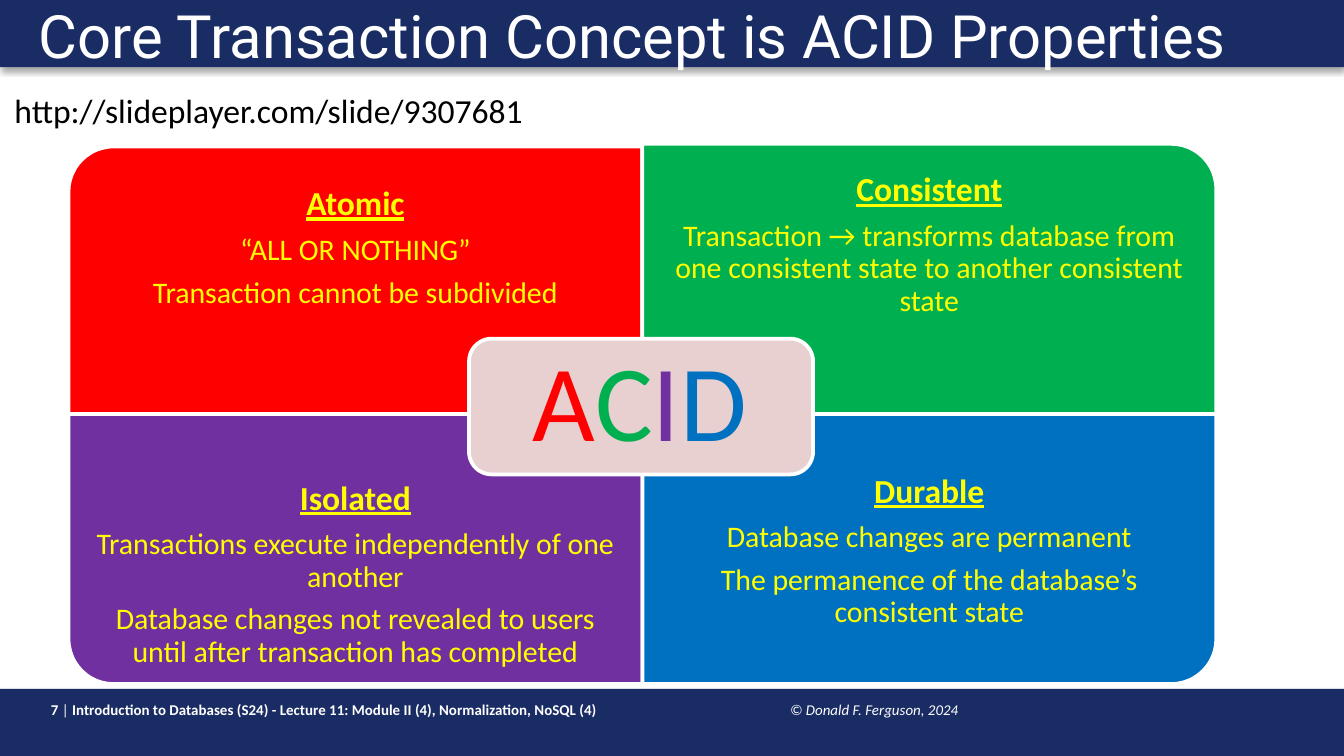
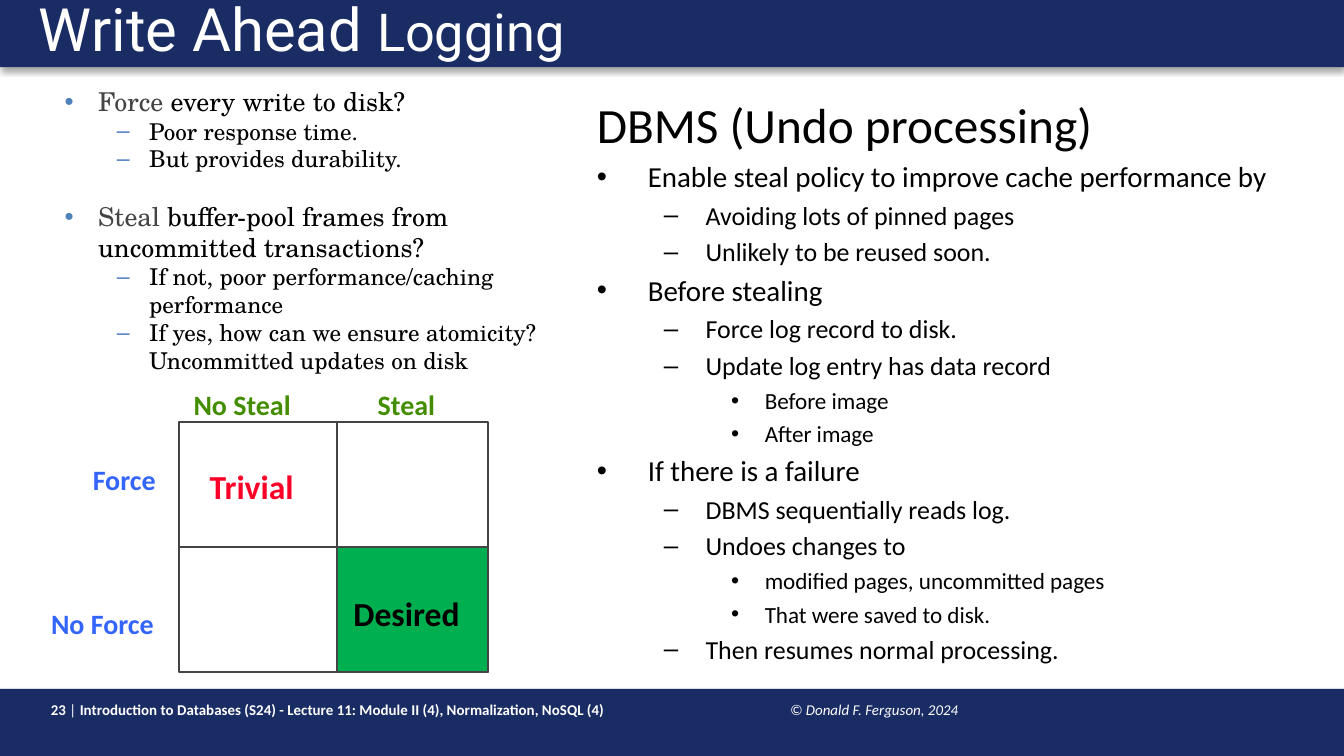
from lxml.etree import SubElement
from pptx import Presentation
from pptx.dml.color import RGBColor
from pptx.enum.shapes import MSO_CONNECTOR as Connector, MSO_SHAPE as Shape
from pptx.enum.text import MSO_ANCHOR as Anchor, MSO_AUTO_SIZE as AutoSize, PP_ALIGN as Align
from pptx.oxml.ns import qn
from pptx.util import Pt

EMU_PER_PX = 9144  # 100 px to the inch
SLIDE_W = 1000
SLIDE_H = SLIDE_W * 9 / 16
BAND_H = 50

COLORS = {
    "navy": "1A2C64", "white": "FFFFFF", "black": "000000", "gray": "444444",
    "red": "FF0000", "green": "00B050", "purple": "7030A0", "blue": "0070C0",
    "yellow": "FFFF00", "blush": "E8D0D0", "bullet": "4F81BD",
    "force": "3365FB", "steal": "438E00", "trivial": "FC0128",
}
SANS, HEADLINE, SERIF = "Calibri", "Roboto", "TeX Gyre Schola"
COURSE = " Introduction to Databases (S24) - Lecture 11: Module II (4), Normalization, NoSQL (4)"
COPYRIGHT = "© Donald F. Ferguson, 2024"


def px(value):
    return round(value * EMU_PER_PX)


def rgb(name):
    return RGBColor.from_string(COLORS[name])


# ---- Shared helpers ----
def set_values(target, values):
    for key, value in values.items():
        setattr(target, key, value)


def place(item, box):
    set_values(item, dict(zip(("left", "top", "width", "height"), map(px, box))))


def format_frame(frame, insets=(10, 5, 10, 5), anchor=Anchor.TOP, wrap=True, fit=AutoSize.NONE):
    sides = ("margin_left", "margin_top", "margin_right", "margin_bottom")
    set_values(frame, dict(zip(sides, map(px, insets))))
    set_values(frame, {"word_wrap": wrap, "auto_size": fit, "vertical_anchor": anchor})


def add_run(paragraph, text, size, color, name=SANS, **styles):
    for index, line in enumerate(text.split("\n")):
        if index:
            paragraph.add_line_break()
        run = paragraph.add_run()
        run.text = line
        set_values(run.font, {"name": name, "size": Pt(size), **styles})
        run.font.color.rgb = rgb(color)


def next_paragraph(frame):
    first = frame.paragraphs[0]
    return frame.add_paragraph() if first.runs else first


def add_bullet(paragraph, char, color, left, hanging):
    props = paragraph._p.get_or_add_pPr()
    props.set("marL", str(px(left)))
    props.set("indent", str(-px(hanging)))
    if char:
        bullet_color = SubElement(props, qn("a:buClr"))
        SubElement(bullet_color, qn("a:srgbClr"), val=COLORS[color])
        SubElement(props, qn("a:buChar"), char=char)
    else:
        SubElement(props, qn("a:buNone"))


def add_box(slide, kind, box, fill=None, line=None, weight=1):
    shape = slide.shapes.add_shape(kind, *map(px, box))
    shape.shadow.inherit = False
    if fill:
        shape.fill.solid()
        shape.fill.fore_color.rgb = rgb(fill)
    else:
        shape.fill.background()
    if line:
        shape.line.color.rgb = rgb(line)
        shape.line.width = Pt(weight)
    else:
        shape.line.fill.background()
    return shape


def add_text(slide, box, **frame_format):
    frame = slide.shapes.add_textbox(*map(px, box)).text_frame
    format_frame(frame, **frame_format)
    return frame


def add_label(slide, box, text, size, color, insets=(7, 4, 7, 4), bold=True):
    frame = add_text(slide, box, insets=insets, wrap=False, fit=AutoSize.SHAPE_TO_FIT_TEXT)
    add_run(frame.paragraphs[0], text, size, color, bold=bold)


def add_rule(slide, x1, y1, x2, y2):
    rule = slide.shapes.add_connector(Connector.STRAIGHT, *map(px, (x1, y1, x2, y2)))
    rule.line.color.rgb = rgb("gray")
    rule.line.width = Pt(1)
    SubElement(rule._element.spPr, qn("a:effectLst"))


# ---- Title, bands and footer of every slide ----
def add_band(slide, top):
    band = add_box(slide, Shape.RECTANGLE, (0, top, SLIDE_W, BAND_H), "navy")
    effects = band._element.spPr.find(qn("a:effectLst"))
    shadow = SubElement(effects, qn("a:outerShdw"), blurRad=str(Pt(3.1)), dist=str(Pt(1.8)),
                        dir="5400000", algn="t", rotWithShape="0")
    shade = SubElement(shadow, qn("a:srgbClr"), val=COLORS["black"])
    SubElement(shade, qn("a:alpha"), val="35000")
    slide.shapes._spTree.insert(2, band._element)  # behind the title


def add_footer(slide, number, box):
    paragraph = add_text(slide, box, anchor=Anchor.MIDDLE).paragraphs[0]
    tabs = SubElement(paragraph._p.get_or_add_pPr(), qn("a:tabLst"))
    SubElement(tabs, qn("a:tab"), pos=str(px(550)), algn="l")
    add_run(paragraph, f"{number} ", 8, "white", bold=True)
    add_run(paragraph, "|", 8, "white")
    add_run(paragraph, COURSE + "\t", 8, "white", bold=True)
    add_run(paragraph, COPYRIGHT, 8, "white", italic=True)


def start_slide(deck, layout, number, title_runs, anchor):
    slide = deck.slides.add_slide(deck.slide_layouts[layout])
    for top in (0, SLIDE_H - BAND_H):
        add_band(slide, top)
    add_footer(slide, number, (28, 514, 742, 28))
    title = slide.shapes.title
    place(title, (19, 0, 948, 48))
    format_frame(title.text_frame, anchor=anchor)
    paragraph = title.text_frame.paragraphs[0]
    set_values(paragraph, {"alignment": Align.LEFT, "line_spacing": 0.9})
    for text, size in title_runs:
        add_run(paragraph, text, size, "white", HEADLINE)
    return slide


# ---- ACID diagram ----
QUADRANT_W, QUADRANT_H, QUADRANT_TEXT_H = 427, 201, 151
# column, top, rotation, fill, text offset, anchor, top and bottom inset, lines
QUADRANTS = [
    (0, 2, 270, "red", 0, Anchor.MIDDLE, 14, 14,
     ["Atomic", "“ALL OR NOTHING”", "Transaction cannot be subdivided"]),
    (1, 0, 0, "green", 0, Anchor.MIDDLE, 14, 14,
     ["Consistent", "Transaction → transforms database from one consistent state "
      "to another consistent state"]),
    (0, 201, 180, "purple", 50, Anchor.TOP, 0, 14,
     ["Isolated", "Transactions execute independently of one another",
      "Database changes not revealed to users until after transaction has completed"]),
    (1, 201, 90, "blue", 50, Anchor.MIDDLE, 0, 46,
     ["Durable", "Database changes are permanent",
      "The permanence of the database’s consistent state"]),
]


def add_quadrant(slide, left, top, rotation, fill, offset, anchor, inset_top, inset_bottom, lines):
    sideways = rotation % 180 == 90
    width, height = (QUADRANT_H, QUADRANT_W) if sideways else (QUADRANT_W, QUADRANT_H)
    corner = (left + (QUADRANT_W - width) / 2, top + (QUADRANT_H - height) / 2)
    panel = add_box(slide, Shape.ROUND_1_RECTANGLE, (*corner, width, height), fill, "white", 2)
    panel.rotation = rotation
    frame = add_text(slide, (left, top + offset, QUADRANT_W, QUADRANT_TEXT_H),
                     insets=(14, inset_top, 14, inset_bottom), anchor=anchor)
    for index, line in enumerate(lines):
        heading = index == 0
        size = 18 if heading else 16
        paragraph = next_paragraph(frame)
        set_values(paragraph, {"alignment": Align.CENTER, "line_spacing": 0.9,
                               "space_after": Pt(0.35 * size)})
        add_run(paragraph, line, size, "yellow", bold=heading, underline=heading)


def add_acid_diagram(slide, left, top):
    for column, row_top, *details in QUADRANTS:
        add_quadrant(slide, left + column * QUADRANT_W, top + row_top, *details)
    add_box(slide, Shape.ROUNDED_RECTANGLE, (left + 298, top + 145, 256, 101), "blush", "white", 2)
    acronym = add_text(slide, (left + 302, top + 150, 246, 91), insets=(24, 24, 24, 24),
                       anchor=Anchor.MIDDLE).paragraphs[0]
    set_values(acronym, {"alignment": Align.CENTER, "line_spacing": 0.9})
    for letter, color in zip("ACID", ("red", "green", "purple", "blue")):
        add_run(acronym, letter, 58, color)


def build_acid_slide(deck):
    slide = start_slide(deck, 5, 7, [("Core Transaction Concept is ACID Properties", 32)],
                        Anchor.TOP)
    add_acid_diagram(slide, 51, 107)
    add_label(slide, (1, 62, 403, 40), "http://slideplayer.com/slide/9307681", 18, "black",
              insets=(10, 5, 10, 5), bold=False)


# ---- Write ahead logging ----
# level, highlighted word, text, space before
QUESTIONS = [
    (0, "Force ", "every write to disk?", 0),
    (1, "", "Poor response time.", 0),
    (1, "", "But provides durability.", 0),
    (0, "Steal ", "buffer-pool frames from\nuncommitted transactions?", 15),
    (1, "", "If not, poor performance/caching performance", 0),
    (1, "", "If yes, how can we ensure atomicity?\nUncommitted updates on disk", 0),
]
QUESTION_LEVELS = [("•", 25, 25, 13.9), ("–", 63, 24, 12.4)]  # bullet, left, hanging, size

UNDO_STEPS = [
    (0, "Enable steal policy to improve cache performance by"),
    (1, "Avoiding lots of pinned pages"),
    (1, "Unlikely to be reused soon."),
    (0, "Before stealing"),
    (1, "Force log record to disk."),
    (1, "Update log entry has data record"),
    (2, "Before image"),
    (2, "After image"),
    (0, "If there is a failure"),
    (1, "DBMS sequentially reads log."),
    (1, "Undoes changes to"),
    (2, "modified pages, uncommitted pages"),
    (2, "That were saved to disk."),
    (1, "Then resumes normal processing."),
]
UNDO_LEVELS = [("•", 38, 38, 15.5), ("–", 81, 31, 13.9), ("•", 125, 25, 12.4)]

# offset from the matrix corner, size, text, text size, colour
MATRIX_LABELS = [
    (-71, 26, 72, 33, "Force", 15, "force"),
    (-102, 133, 106, 33, "No Force", 15, "force"),
    (4, -30, 99, 33, "No Steal", 15, "steal"),
    (141, -30, 65, 33, "Steal", 15, "steal"),
    (16, 29, 88, 38, "Trivial", 18, "trivial"),
    (123, 123, 108, 38, "Desired", 18, "black"),
]


def add_item(frame, level, bullet, color, left, hanging, before=0, after=0):
    paragraph = next_paragraph(frame)
    add_bullet(paragraph, bullet, color, left, hanging)
    set_values(paragraph, {"level": level, "space_before": Pt(before), "space_after": Pt(after)})
    return paragraph


def fill_questions(body, box):
    place(body, box)
    format_frame(body.text_frame, insets=(0, 0, 0, 0))
    for level, keyword, text, before in QUESTIONS:
        bullet, left, hanging, size = QUESTION_LEVELS[level]
        paragraph = add_item(body.text_frame, level, bullet, "bullet", left, hanging, before)
        if keyword:
            add_run(paragraph, keyword, size, "gray", SERIF)
        add_run(paragraph, text, size, "black", SERIF)


def fill_undo_steps(body, box):
    place(body, box)
    format_frame(body.text_frame)
    heading = add_item(body.text_frame, 0, None, None, 0, 0, after=3)
    add_run(heading, "DBMS (Undo processing)", 26.4, "black")
    for level, text in UNDO_STEPS:
        bullet, left, hanging, size = UNDO_LEVELS[level]
        paragraph = add_item(body.text_frame, level, bullet, "black", left, hanging, after=3)
        add_run(paragraph, text, size, "black")


def add_policy_matrix(slide, left, top, width, height):
    column, row = 118, height // 2
    add_box(slide, Shape.RECTANGLE, (left, top, width, height), line="gray")
    add_rule(slide, left, top + row, left + width, top + row)
    add_rule(slide, left + column, top, left + column, top + height)
    add_box(slide, Shape.RECTANGLE, (left + column, top + row, width - column, height - row),
            "green", "gray")
    for x, y, label_w, label_h, *label in MATRIX_LABELS:
        add_label(slide, (left + x, top + y, label_w, label_h), *label)


def build_logging_slide(deck):
    slide = start_slide(deck, 3, 23, [("Write Ahead ", 32), ("Logging", 28)], Anchor.MIDDLE)
    fill_questions(slide.placeholders[1], (48, 64, 387, 223))
    fill_undo_steps(slide.placeholders[2], (434, 65, 549, 442))
    add_policy_matrix(slide, 133, 314, 230, 186)


def main():
    deck = Presentation()
    set_values(deck, {"slide_width": px(SLIDE_W), "slide_height": px(SLIDE_H)})
    build_acid_slide(deck)
    build_logging_slide(deck)
    deck.save("out.pptx")


if __name__ == "__main__":
    main()
